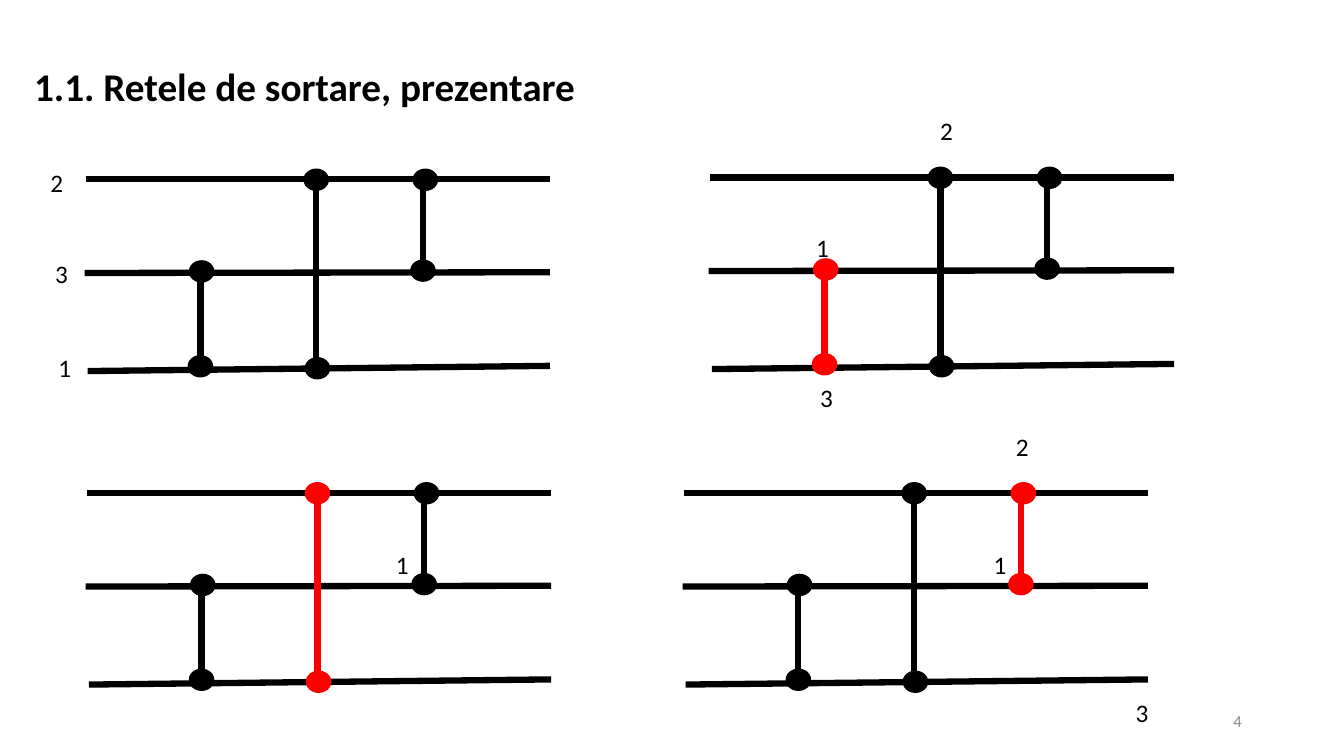
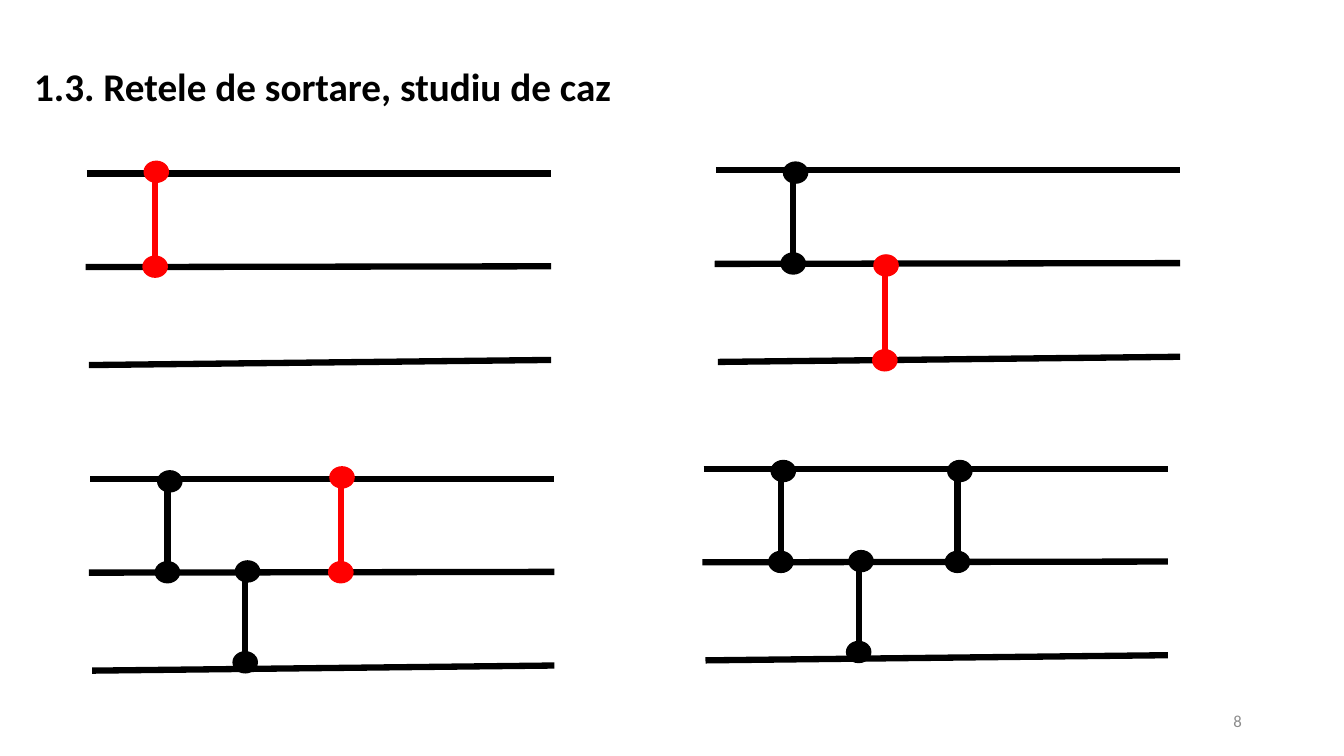
from lxml.etree import SubElement
from pptx import Presentation
from pptx.dml.color import RGBColor
from pptx.enum.shapes import MSO_CONNECTOR, MSO_SHAPE
from pptx.enum.text import MSO_ANCHOR, PP_ALIGN
from pptx.oxml.ns import qn
from pptx.util import Cm, Pt

FONT = "Calibri"
BLACK, RED, GREY = "000000", "FF0000", "8C8C8C"
DOT_W, DOT_H = 0.61, 0.53

# Wire ends, from the corner of a network: x1, y1, x2, y2 in cm
WIRES = [(0.03, 0, 11.73, 0), (0, 2.36, 11.73, 2.34), (0.08, 4.83, 11.73, 4.7)]

# Gate kinds: bar length, then the centre of each dot from the bar's top
GATES = {
    "short": (2.39, [(0.06, 0.01), (0, 2.3)]),
    "tall": (2.46, [(0.03, -0.04), (0, 2.35)]),
    "long": (4.75, [(0, 0.01), (0.03, 4.76)]),
}

# The sorting network of the first slide: kind, x, y
SORTER = [("tall", 2.92, 2.36), ("long", 5.84, 0), ("short", 8.53, 0)]

# Networks: left, top, gates, index of the red gate
SORT_NETS = [
    (2.13, 4.52, SORTER, None),
    (17.86, 4.47, SORTER, 0),
    (2.16, 12.42, SORTER, 1),
    (17.2, 12.42, SORTER, 2),
]
FIRST, SECOND = ("short", 1.98, 0.05), ("short", 3.94, 2.32)
CASE_NETS = [
    (2.16, 4.37, [("tall", 1.75, 0)], 0),
    (18.01, 4.29, [FIRST, ("tall", 4.29, 2.44)], 1),
    (2.24, 12.07, [FIRST, SECOND, ("tall", 6.35, 0)], 2),
    (17.7, 11.81, [FIRST, SECOND, ("short", 6.43, 0.05)], None),
]

# Values on the wires: text, left, top
VALUES = [
    ("2", 1.02, 4.09), ("3", 1.14, 6.38), ("1", 1.22, 8.76),
    ("2", 23.44, 2.77), ("3", 20.42, 9.5), ("1", 20.32, 5.74),
    ("1", 9.73, 13.72),
    ("2", 25.35, 10.74), ("3", 28.37, 17.45), ("1", 24.79, 13.72),
]


def paint(fmt, color):
    """Give a fill or a font a solid colour."""
    if hasattr(fmt, "solid"):
        fmt.solid()
        fmt = fmt.fore_color
    else:
        fmt = fmt.color
    fmt.rgb = RGBColor.from_string(color)


def add_text(slide, text, box, size, color=BLACK, bold=False, wrap=True):
    """Add a one-run text box and return its shape."""
    shape = slide.shapes.add_textbox(*map(Cm, box))
    frame = shape.text_frame
    frame.word_wrap = wrap
    run = frame.paragraphs[0].add_run()
    run.text = text
    run.font.name, run.font.size, run.font.bold = FONT, Pt(size), bold
    paint(run.font, color)
    return shape


def add_line(slide, x1, y1, x2, y2, color=BLACK):
    """Add a thick straight line with no shadow."""
    line = slide.shapes.add_connector(
        MSO_CONNECTOR.STRAIGHT, Cm(x1), Cm(y1), Cm(x2), Cm(y2))
    line.line.width = Pt(4.5)
    paint(line.line.fill, color)
    SubElement(line._element.spPr, qn("a:effectLst"))


def add_dot(slide, x, y, color):
    """Add a dot centred on a point."""
    dot = slide.shapes.add_shape(
        MSO_SHAPE.FLOWCHART_CONNECTOR, Cm(x - DOT_W / 2), Cm(y - DOT_H / 2),
        Cm(DOT_W), Cm(DOT_H))
    dot.shadow.inherit = False
    paint(dot.fill, color)
    paint(dot.line.fill, color)
    dot.line.width = Pt(1)


def add_gate(slide, kind, x, y, color):
    """Add a bar with a dot at each end."""
    length, dots = GATES[kind]
    add_line(slide, x, y, x, y + length, color)
    for dx, dy in dots:
        add_dot(slide, x + dx, y + dy, color)


def add_net(slide, left, top, gates, hot):
    """Add three wires and their gates, with the hot gate in red."""
    for x1, y1, x2, y2 in WIRES:
        add_line(slide, left + x1, top + y1, left + x2, top + y2)
    for i, (kind, x, y) in enumerate(gates):
        add_gate(slide, kind, left + x, top + y, RED if i == hot else BLACK)


def add_page(deck, title, number, nets):
    """Add a slide with its title, page number and networks."""
    slide = deck.slides.add_slide(deck.slide_layouts[6])
    add_text(slide, title, (0.61, 1.45, 28.17, 1.45), 28, bold=True)
    foot = add_text(slide, number, (23.93, 17.65, 7.62, 1.02), 12, GREY)
    foot.text_frame.vertical_anchor = MSO_ANCHOR.MIDDLE
    foot.text_frame.paragraphs[0].alignment = PP_ALIGN.RIGHT
    for net in nets:
        add_net(slide, *net)
    return slide


def main():
    """Build both slides and save the deck."""
    deck = Presentation()
    deck.slide_width, deck.slide_height = Cm(33.87), Cm(19.05)
    slide = add_page(deck, "1.1. Retele de sortare, prezentare", "4", SORT_NETS)
    for text, x, y in VALUES:
        add_text(slide, text, (x, y, 0.84, 1.02), 18, wrap=False)
    add_page(deck, "1.3. Retele de sortare, studiu de caz", "8", CASE_NETS)
    deck.save("out.pptx")


main()
